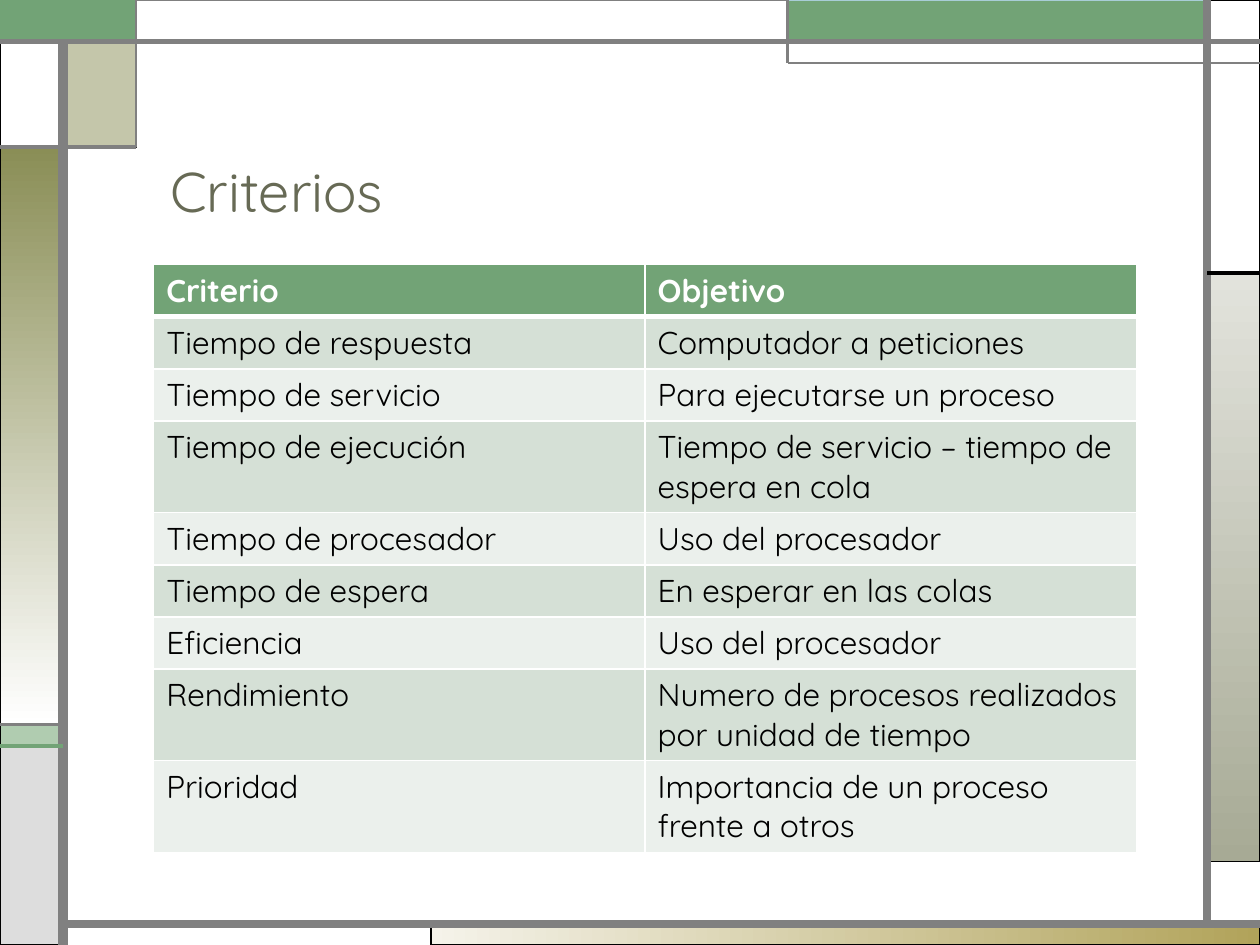
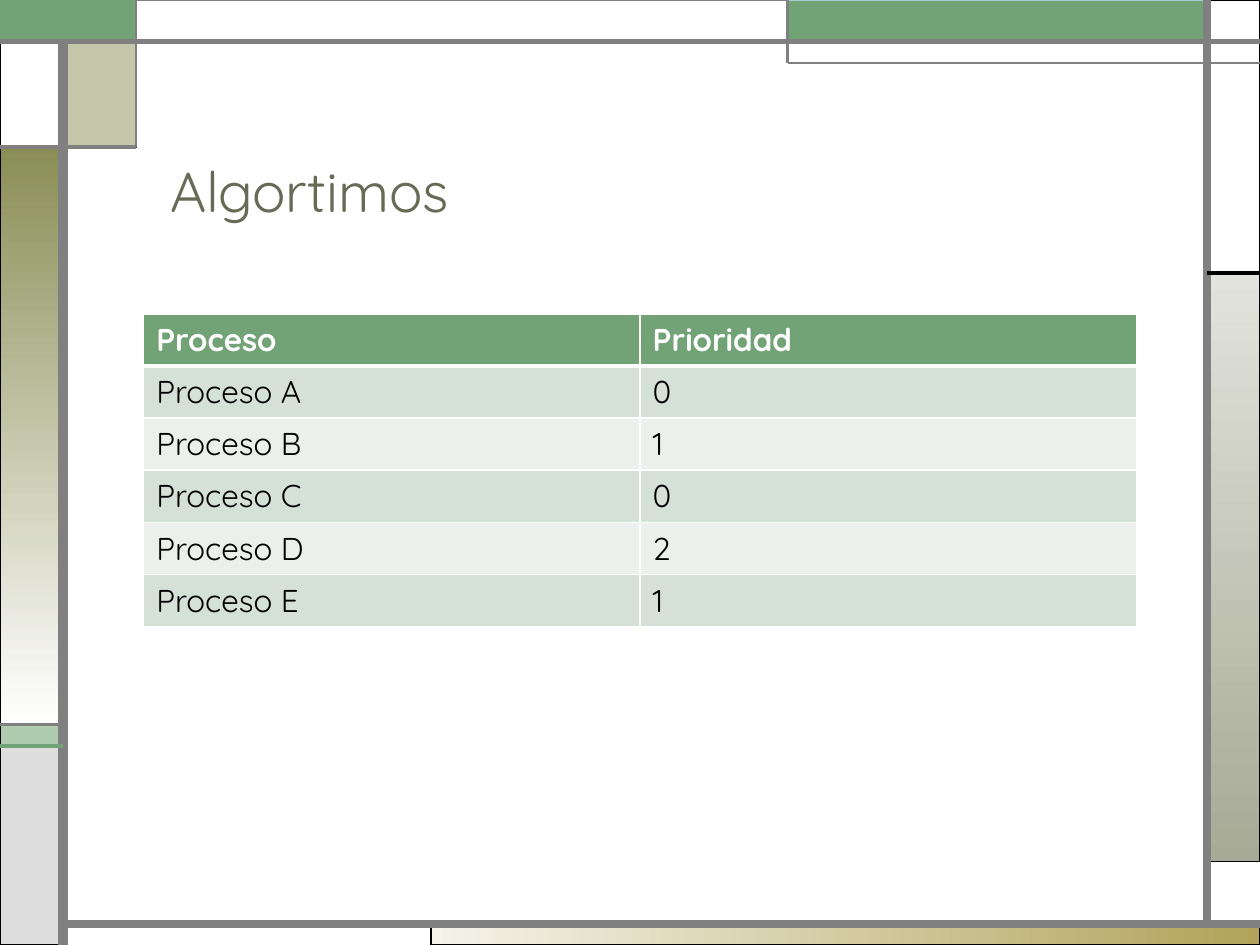
import dataclasses

import lxml.etree
import pptx
import pptx.dml.color
import pptx.enum.shapes
import pptx.enum.text
import pptx.oxml.ns
import pptx.util

Inches = pptx.util.Inches
Pt = pptx.util.Pt
qn = pptx.oxml.ns.qn


@dataclasses.dataclass(frozen=True)
class Theme:
    font: str = "Quicksand"
    title_size: int = 32
    table_size: int = 18
    title: str = "676A55"
    green: str = "72A376"
    pale_green: str = "B0CCB0"
    sky: str = "A8CDD7"
    olive: str = "8A8E56"
    gray: str = "808080"
    light_gray: str = "DDDDDD"
    black: str = "000000"
    white: str = "FFFFFF"
    bands: tuple = ("D5E0D6", "EBF0EC")
    sand: tuple = ("F5F3EA", "B1A35A")
    stone: tuple = ("E2E3DC", "A7AA95")


THEME = Theme()
WIDTH, HEIGHT = 10, 7.5
TITLE_BOX = (1.25, 0.58, 7.88, 1.25)
ROW_HEIGHT = 0.41

SLIDES = [
    {
        "title": "Criterios",
        "table_at": (1.22, 2.1),
        "table_width": 7.8,
        "rows": [
            ("Criterio", "Objetivo"),
            ("Tiempo de respuesta", "Computador a peticiones"),
            ("Tiempo de servicio", "Para ejecutarse un proceso"),
            ("Tiempo de ejecución", "Tiempo de servicio – tiempo de espera en cola"),
            ("Tiempo de procesador", "Uso del procesador"),
            ("Tiempo de espera", "En esperar en las colas"),
            ("Eficiencia", "Uso del procesador"),
            ("Rendimiento", "Numero de procesos realizados por unidad de tiempo"),
            ("Prioridad", "Importancia de un proceso frente a otros"),
        ],
    },
    {
        "title": "Algortimos",
        "table_at": (1.14, 2.49),
        "table_width": 7.88,
        "rows": [
            ("Proceso", "Prioridad"),
            ("Proceso A", "0"),
            ("Proceso B", "1"),
            ("Proceso C", "0"),
            ("Proceso D", "2"),
            ("Proceso E", "1"),
        ],
    },
]

# Guides of the frame, from left to right and from top to bottom
RAIL_LEFT, CORNER, TAB, RAIL_RIGHT = 0.5, 1.08, 6.25, 9.58
RAIL_TOP, TAB_BOTTOM, CORNER_BOTTOM, STONE_TOP = 0.33, 0.5, 1.17, 2.17
STRIP_TOP, STRIP_BOTTOM, STONE_BOTTOM, RAIL_BOTTOM = 5.75, 5.92, 6.84, 7.33

# Left, top, right, bottom, fill (a pair is a gradient), format
PANELS = [
    (3.42, RAIL_BOTTOM, WIDTH, HEIGHT, THEME.sand, {"angle": 0}),
    (RAIL_RIGHT, STONE_TOP, WIDTH, STONE_BOTTOM, THEME.stone, {}),
    (0, STRIP_TOP, RAIL_LEFT, STRIP_BOTTOM, THEME.pale_green, {}),
    (0, STRIP_BOTTOM, RAIL_LEFT, HEIGHT, THEME.light_gray, {}),
    (RAIL_RIGHT, 0, WIDTH, STONE_TOP, THEME.white, {}),
    (TAB, 0, RAIL_RIGHT, RAIL_TOP, THEME.green, {"outline": THEME.sky}),
    (RAIL_LEFT, RAIL_TOP, CORNER, CORNER_BOTTOM, THEME.olive, {"opacity": 50}),
    (0, CORNER_BOTTOM, RAIL_LEFT, STRIP_TOP, (THEME.olive, THEME.white), {}),
    (0, RAIL_TOP, RAIL_LEFT, CORNER_BOTTOM, THEME.white, {}),
    (0, 0, CORNER, RAIL_TOP, THEME.green, {"outline": THEME.green, "weight": 1.5}),
    (CORNER, 0, TAB, RAIL_TOP, THEME.white, {"outline": THEME.gray}),
]

# From x, y to x, y, colour, weight
RAILS = [
    (RAIL_LEFT, HEIGHT, RAIL_LEFT, RAIL_TOP, THEME.gray, 6),
    (RAIL_LEFT, RAIL_BOTTOM, WIDTH, RAIL_BOTTOM, THEME.gray, 4.5),
    (RAIL_RIGHT, RAIL_BOTTOM, RAIL_RIGHT, 0, THEME.gray, 4.5),
    (0, RAIL_TOP, WIDTH, RAIL_TOP, THEME.gray, 3),
    (WIDTH, TAB_BOTTOM, TAB, TAB_BOTTOM, THEME.gray, 1.5),
    (TAB, TAB_BOTTOM, TAB, 0, THEME.gray, 1.5),
    (RAIL_RIGHT, STONE_TOP, WIDTH, STONE_TOP, THEME.black, 2.25),
    (CORNER, 0, CORNER, CORNER_BOTTOM, THEME.gray, 1.5),
    (CORNER, CORNER_BOTTOM, 0, CORNER_BOTTOM, THEME.gray, 2.25),
    (RAIL_LEFT, STRIP_TOP, 0, STRIP_TOP, THEME.gray, 2.25),
    (RAIL_LEFT, STRIP_BOTTOM, 0, STRIP_BOTTOM, THEME.green, 2.25),
]


def rgb(color):
    return pptx.dml.color.RGBColor.from_string(color)


def set_line(line, color, weight):
    line.color.rgb = rgb(color)
    line.width = Pt(weight)


def write(frame, text, *, size, color, bold=False, spacing=None):
    para = frame.paragraphs[0]
    para.alignment = pptx.enum.text.PP_ALIGN.LEFT
    para.line_spacing = spacing
    span = para.add_run()
    span.text = text
    span.font.name = THEME.font
    span.font.size = Pt(size)
    span.font.bold = bold
    span.font.color.rgb = rgb(color)


def add_panel(slide, left, top, right, bottom, fill, *,
              outline=THEME.black, weight=0.75, angle=270, opacity=None):
    panel = slide.shapes.add_shape(
        pptx.enum.shapes.MSO_SHAPE.RECTANGLE,
        Inches(left), Inches(top), Inches(right - left), Inches(bottom - top))
    panel.shadow.inherit = False
    set_line(panel.line, outline, weight)
    if isinstance(fill, tuple):
        panel.fill.gradient()
        panel.fill.gradient_angle = angle
        for position, (stop, color) in enumerate(zip(panel.fill.gradient_stops, fill)):
            stop.position = position
            stop.color.rgb = rgb(color)
    else:
        panel.fill.solid()
        panel.fill.fore_color.rgb = rgb(fill)
    if opacity is not None:
        color_element = panel.element.spPr.find(qn("a:solidFill"))[0]
        alpha = lxml.etree.SubElement(color_element, qn("a:alpha"))
        alpha.set("val", str(opacity * 1000))
    return panel


def add_rail(slide, x1, y1, x2, y2, color, weight):
    rail = slide.shapes.add_connector(
        pptx.enum.shapes.MSO_CONNECTOR.STRAIGHT,
        Inches(x1), Inches(y1), Inches(x2), Inches(y2))
    set_line(rail.line, color, weight)
    lxml.etree.SubElement(rail.element.spPr, qn("a:effectLst"))
    return rail


def move_to_layout(shapes, layout):
    """Put shapes drawn on a slide behind the layout's placeholders."""
    for index, shape in enumerate(shapes):
        shape.element.xpath(".//p:cNvPr")[0].set("id", str(100 + index))
        layout.shapes.element.insert(2 + index, shape.element)


def set_borders(cell, top, bottom):
    properties = cell._tc.get_or_add_tcPr()
    sides = {"a:lnL": 1, "a:lnR": 1, "a:lnT": top, "a:lnB": bottom}
    for index, (tag, weight) in enumerate(sides.items()):
        border = lxml.etree.Element(qn(tag), w=str(Pt(weight)))
        fill = lxml.etree.SubElement(border, qn("a:solidFill"))
        lxml.etree.SubElement(fill, qn("a:srgbClr"), val=THEME.white)
        properties.insert(index, border)


def add_banded_table(slide, rows, at, width):
    columns = len(rows[0])
    table = slide.shapes.add_table(
        len(rows), columns, Inches(at[0]), Inches(at[1]),
        Inches(width), Inches(ROW_HEIGHT * len(rows))).table
    table.horz_banding = False
    for column in table.columns:
        column.width = Inches(width / columns)
    for r, texts in enumerate(rows):
        header = r == 0
        table.rows[r].height = Inches(ROW_HEIGHT)
        for c, text in enumerate(texts):
            cell = table.cell(r, c)
            cell.fill.solid()
            cell.fill.fore_color.rgb = rgb(THEME.green if header else THEME.bands[(r - 1) % 2])
            set_borders(cell, top=3 if r == 1 else 1, bottom=3 if header else 1)
            write(cell.text_frame, text, size=THEME.table_size, bold=header,
                  color=THEME.white if header else THEME.black)


def main():
    deck = pptx.Presentation()
    deck.slide_width, deck.slide_height = Inches(WIDTH), Inches(HEIGHT)
    layout = deck.slide_layouts.get_by_name("Title Only")
    title = layout.placeholders[0]
    title.left, title.top, title.width, title.height = map(Inches, TITLE_BOX)
    title.text_frame.vertical_anchor = pptx.enum.text.MSO_ANCHOR.BOTTOM

    for content in SLIDES:
        slide = deck.slides.add_slide(layout)
        write(slide.shapes.title.text_frame, content["title"],
              size=THEME.title_size, color=THEME.title, spacing=0.9)
        add_banded_table(slide, content["rows"], content["table_at"], content["table_width"])

    frame = [add_panel(slide, *panel, **style) for *panel, style in PANELS]
    frame += [add_rail(slide, *rail) for rail in RAILS]
    move_to_layout(frame, layout)
    deck.save("out.pptx")


if __name__ == "__main__":
    main()
